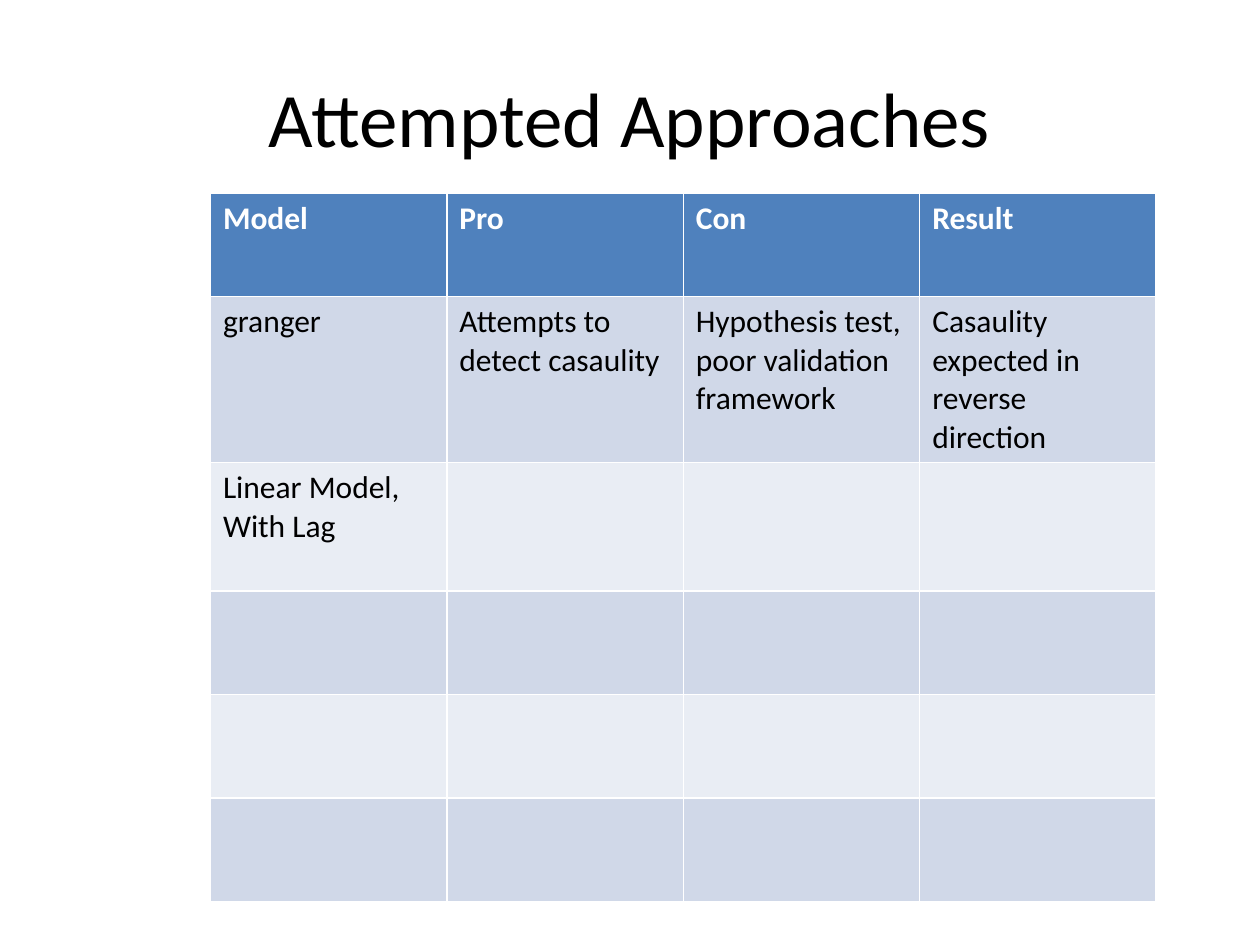
import pptx
import pptx.util
import pptx.dml.color
import pptx.enum.text

Pt = pptx.util.Pt
RGB = pptx.dml.color.RGBColor.from_string
ENUM = pptx.enum.text

THEME = {
    "head": {"name": "Calibri", "size": Pt(44), "bold": False, "color": "000000"},
    "top": {"name": "Calibri", "size": Pt(18), "bold": True, "color": "FFFFFF"},
    "body": {"name": "Calibri", "size": Pt(18), "bold": False, "color": "000000"},
    "fill": "4F81BD",
    "bands": ("E9EDF4", "D0D8E8"),
}


def put(frame, text, style):
    """Write the text, one paragraph a line, in a style of the theme."""
    frame.text = text
    for para in frame.paragraphs:
        for key, value in THEME[style].items():
            if key == "color":
                para.font.color.rgb = RGB(value)
            else:
                setattr(para.font, key, value)


deck = pptx.Presentation()
deck.slide_width, deck.slide_height = Pt(720), Pt(540)
slide = deck.slides.add_slide(deck.slide_layouts[6])

# Title
title = slide.shapes.add_textbox(Pt(36), Pt(21.6), Pt(648), Pt(90)).text_frame
title.word_wrap = True
title.vertical_anchor = ENUM.MSO_ANCHOR.MIDDLE
put(title, "Attempted Approaches", "head")
title.paragraphs[0].alignment = ENUM.PP_ALIGN.CENTER

# Table: the default style draws the white rules
rows = [
    ["Model", "Pro", "Con", "Result"],
    ["granger", "Attempts to detect casaulity",
     "Hypothesis test, poor validation framework",
     "Casaulity expected in reverse direction"],
    ["Linear Model,\nWith Lag", "", "", ""],
    *[[""] * 4] * 3,
]
highs = [59.2, 95, 73.3, 59.2, 59.2, 59.2]
wide = 135.1
grid = slide.shapes.add_table(
    len(rows), 4, Pt(120.25), Pt(110.2), Pt(4 * wide), Pt(sum(highs))).table
for col in grid.columns:
    col.width = Pt(wide)
for r, (row, high) in enumerate(zip(rows, highs)):
    grid.rows[r].height = Pt(high)
    for c, text in enumerate(row):
        cell = grid.cell(r, c)
        cell.fill.solid()
        cell.fill.fore_color.rgb = RGB(THEME["bands"][r % 2] if r else THEME["fill"])
        put(cell.text_frame, text, "body" if r else "top")

deck.save("out.pptx")
